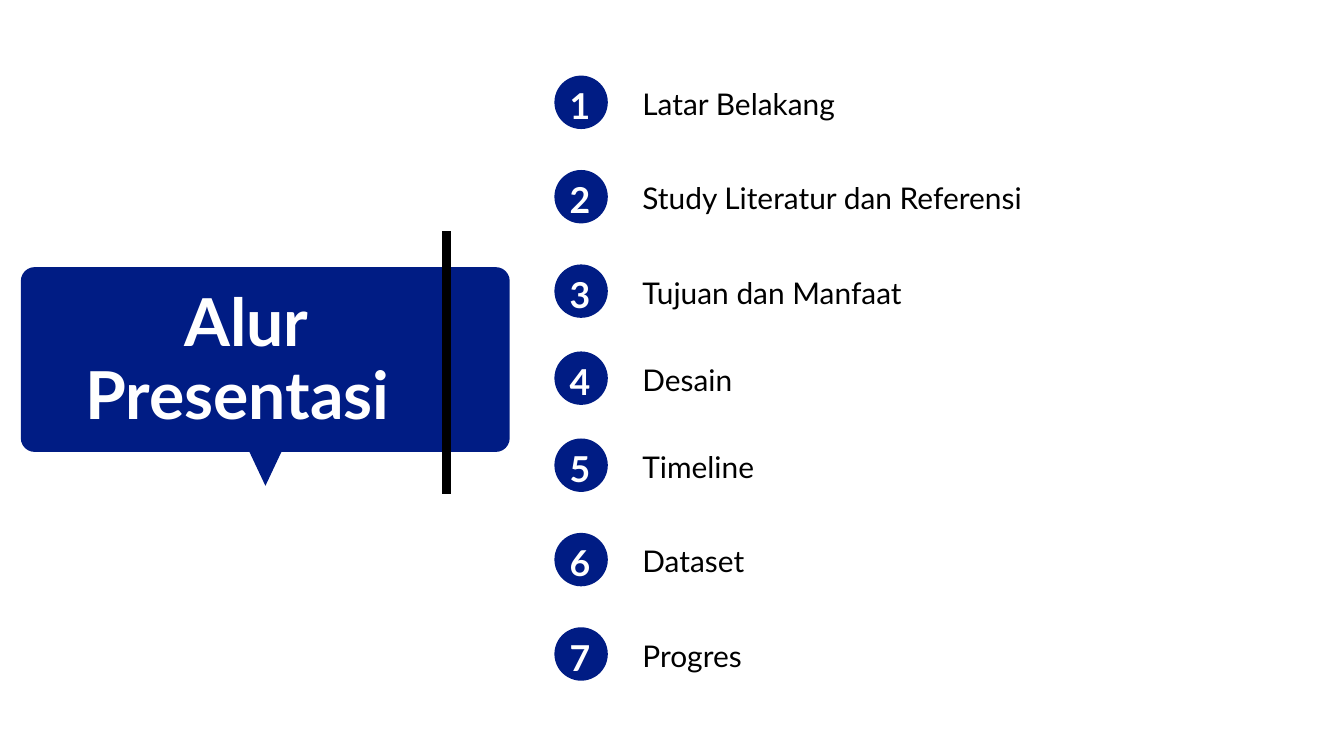
from dataclasses import dataclass
from itertools import accumulate

from lxml import etree
from pptx import Presentation
from pptx import util as u
from pptx.dml.color import RGBColor
from pptx.enum import shapes, text
from pptx.oxml.ns import qn


@dataclass(frozen=True)
class Theme:
    font: str = "Lato"
    navy: str = "001C84"
    white: str = "FFFFFF"
    black: str = "000000"
    title: float = 70.8
    number: float = 38.2
    label: float = 32
    rule: float = 9.75


class Page:
    """Draws on one slide; lengths are columns and rows of a quarter-inch grid."""

    UNIT = u.Inches(0.25)

    def __init__(self, deck, theme):
        self.theme = theme
        self.slide = deck.slides.add_slide(deck.slide_layouts[6])

    def grid(self, *lengths):
        return [round(length * self.UNIT) for length in lengths]

    def paint(self, shape):
        shape.shadow.inherit = False
        shape.fill.solid()
        shape.fill.fore_color.rgb = RGBColor.from_string(self.theme.navy)
        shape.line.fill.background()
        return shape

    def shape(self, preset, *place):
        return self.paint(self.slide.shapes.add_shape(preset, *self.grid(*place)))

    def outline(self, *points):
        first, *rest = points
        builder = self.slide.shapes.build_freeform(*self.grid(*first))
        builder.add_line_segments([self.grid(*point) for point in rest])
        return self.paint(builder.convert_to_shape())

    def label(self, words, *place, size, leading, color, bold=False,
              align=text.PP_ALIGN.LEFT):
        box = self.slide.shapes.add_textbox(*self.grid(*place))
        frame = box.text_frame
        frame.word_wrap = True
        frame.auto_size = text.MSO_AUTO_SIZE.SHAPE_TO_FIT_TEXT
        frame.margin_left = frame.margin_top = 0
        frame.margin_right = frame.margin_bottom = 0
        para = frame.paragraphs[0]
        para.alignment = align
        para.line_spacing = u.Pt(leading)
        span = para.add_run()
        span.text = words
        span.font.name = self.theme.font
        span.font.size = u.Pt(size)
        span.font.bold = bold
        span.font.color.rgb = RGBColor.from_string(color)

    def rule(self, *ends):
        line = self.slide.shapes.add_connector(
            shapes.MSO_CONNECTOR.STRAIGHT, *self.grid(*ends))
        line.line.color.rgb = RGBColor.from_string(self.theme.black)
        line.line.width = u.Pt(self.theme.rule)
        etree.SubElement(line._element.spPr, qn("a:effectLst"))

    def title_bubble(self, words):
        bubble = self.shape(shapes.MSO_SHAPE.ROUNDED_RECTANGLE, 1.24, 15.9, 29.1, 11)
        bubble.adjustments[0] = 0.075
        self.outline((14.8, 26.8), (16.8, 26.8), (15.8, 28.92))
        self.label(words, 4.08, 17.08, 21.08, 8.72, size=self.theme.title,
                   leading=77.9, color=self.theme.white, bold=True,
                   align=text.PP_ALIGN.CENTER)

    def agenda_item(self, number, words, row):
        self.shape(shapes.MSO_SHAPE.OVAL, 33, row, 3.18, 3.18)
        self.label(str(number), 33.52, row + 0.06, 2, 2.8, size=self.theme.number,
                   leading=53.5, color=self.theme.white, bold=True,
                   align=text.PP_ALIGN.CENTER)
        self.label(words, 38.24, row + 0.24, 25.2, 2.4, size=self.theme.label,
                   leading=44.8, color=self.theme.black)


TOPICS = ["Latar Belakang", "Study Literatur dan Referensi", "Tujuan dan Manfaat",
          "Desain", "Timeline", "Dataset", "Progres"]
WIDE, NARROW = 5.62, 5.18
ROWS = accumulate([WIDE, WIDE, NARROW, NARROW, WIDE, WIDE], initial=4.5)


def main():
    deck = Presentation()
    deck.slide_width, deck.slide_height = u.Inches(20), u.Inches(11.25)
    page = Page(deck, Theme())
    page.title_bubble("Alur Presentasi ")
    for number, (topic, row) in enumerate(zip(TOPICS, ROWS), start=1):
        page.agenda_item(number, topic, row)
    page.rule(26.6, 29.4, 26.6, 13.76)
    deck.save("out.pptx")


if __name__ == "__main__":
    main()
